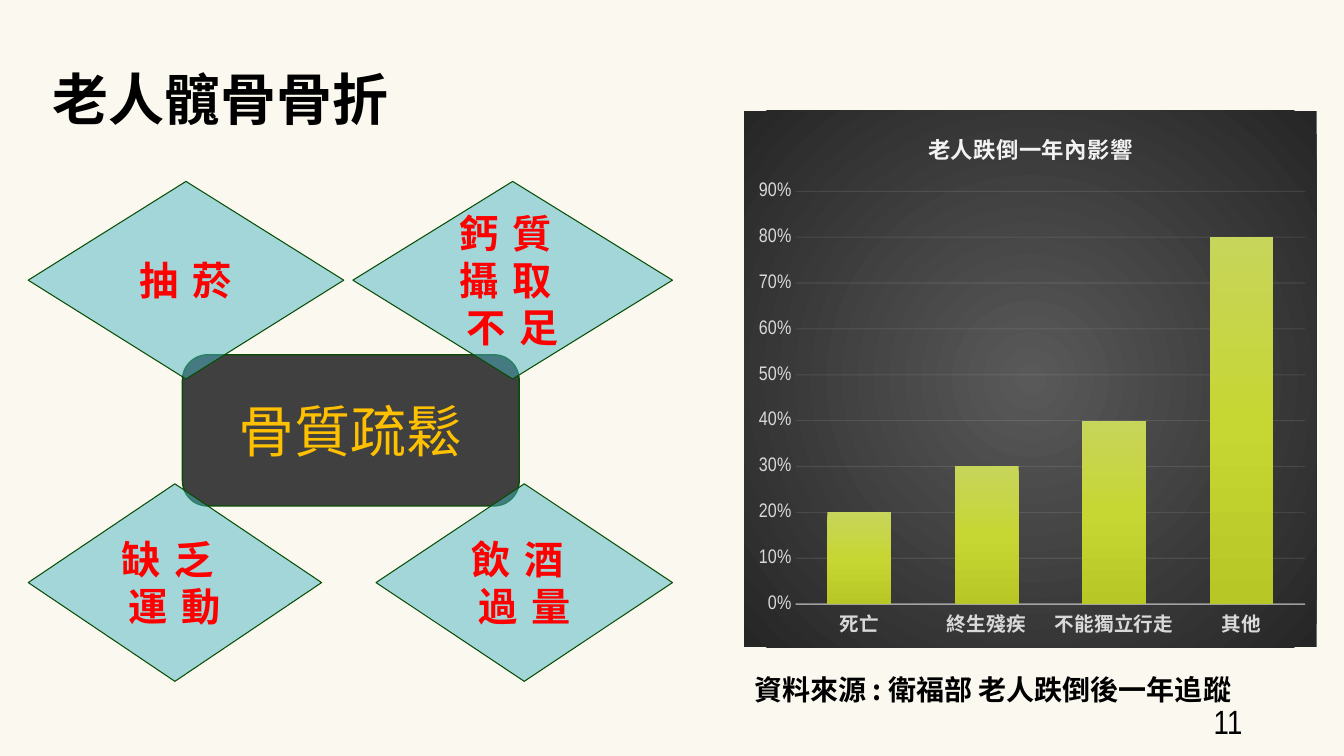
"""Build the slide on hip fractures in the elderly."""
from dataclasses import dataclass

from lxml import etree
from pptx import Presentation
from pptx.chart.data import CategoryChartData
from pptx.dml.color import RGBColor
from pptx.enum.chart import XL_CHART_TYPE, XL_TICK_MARK
from pptx.enum.shapes import MSO_SHAPE
from pptx.enum.text import MSO_ANCHOR, PP_ALIGN
from pptx.oxml.ns import qn
from pptx.util import Inches, Pt

COLUMN = XL_CHART_TYPE.COLUMN_CLUSTERED
NO_TICK = XL_TICK_MARK.NONE
DIAMOND = MSO_SHAPE.FLOWCHART_DECISION
ROUND = MSO_SHAPE.ROUNDED_RECTANGLE
TOP, MIDDLE = MSO_ANCHOR.TOP, MSO_ANCHOR.MIDDLE
LEFT, CENTER, RIGHT = PP_ALIGN.LEFT, PP_ALIGN.CENTER, PP_ALIGN.RIGHT

CREAM = RGBColor(0xFB, 0xF8, 0xEF)
BLACK = RGBColor(0, 0, 0)
RED = RGBColor(0xFF, 0, 0)
GOLD = RGBColor(0xFF, 0xC0, 0)
TEAL = RGBColor(0x4A, 0xB5, 0xC4)
GREEN = RGBColor(0x07, 0x4D, 0x03)
COAL = RGBColor(0x40, 0x40, 0x40)
PALE = RGBColor(0xF2, 0xF2, 0xF2)
SILVER = RGBColor(0xD9, 0xD9, 0xD9)
ASH = RGBColor(0x59, 0x59, 0x59)
SOOT = RGBColor(0x26, 0x26, 0x26)
LIMES = (RGBColor(0xC7, 0xD5, 0x5B), RGBColor(0xC6, 0xD6, 0x33),
         RGBColor(0xB7, 0xC7, 0x25))

HAN = "Noto Sans CJK SC"
LATIN = "Arial Narrow"


@dataclass
class Style:
    size: int
    color: RGBColor
    face: str = HAN
    bold: bool = True
    align: PP_ALIGN = LEFT
    space: float = 0


@dataclass
class Label:
    text: str
    box: tuple[float, float, float, float]
    style: Style
    anchor: MSO_ANCHOR = TOP


@dataclass
class Block:
    label: Label
    kind: MSO_SHAPE
    fill: RGBColor
    line: float
    alpha: int = 100


RISK = Style(28, RED, align=CENTER, space=10)
LABELS = [
    Label("老人髖骨骨折", (0.42, 0.59, 7.44, 0.77), Style(40, BLACK)),
    Label("資料來源 : 衛福部 老人跌倒後一年追蹤", (7.38, 6.62, 5.41, 0.5),
          Style(20, BLACK)),
    Label("11", (9.42, 6.95, 3, 0.4),
          Style(24, BLACK, LATIN, False, RIGHT), MIDDLE),
]
CORE = Block(Label("骨質疏鬆", (1.81, 3.52, 3.34, 1.5),
                   Style(40, GOLD, LATIN, False, CENTER), MIDDLE),
             ROUND, COAL, 1)
RISKS = [Block(Label(text, (left, top, width, 1.96), RISK, MIDDLE),
               DIAMOND, TEAL, 0.75, 50)
         for text, left, top, width in (
             ("鈣質攝取不足", 3.5, 1.8, 3.17), ("缺乏運動", 0.28, 4.8, 2.91),
             ("飲酒過量", 3.73, 4.8, 2.94), ("抽菸", 0.28, 1.8, 3.13))]
SHARES = {"死亡": 0.2, "終生殘疾": 0.3, "不能獨立行走": 0.4, "其他": 0.8}


def fade(root, alpha: int) -> None:
    for color in list(root.iter(qn("a:srgbClr"))):
        etree.SubElement(color, qn("a:alpha")).set("val", str(alpha * 1000))


def blend(root, colors: tuple, round_: bool = False) -> None:
    grad = etree.SubElement(root, qn("a:gradFill"))
    stops = etree.SubElement(grad, qn("a:gsLst"))
    for i, color in enumerate(colors):
        stop = etree.SubElement(stops, qn("a:gs"))
        stop.set("pos", str(100000 * i // (len(colors) - 1)))
        etree.SubElement(stop, qn("a:srgbClr")).set("val", str(color))
    if round_:
        way = etree.SubElement(grad, qn("a:path"))
        way.set("path", "circle")
        spot = etree.SubElement(way, qn("a:fillToRect"))
        for side in "ltrb":
            spot.set(side, "50000")
    else:
        etree.SubElement(grad, qn("a:lin")).set("ang", "5400000")


def paint(font, style: Style) -> None:
    font.size, font.bold, font.name = Pt(style.size), style.bold, style.face
    font.color.rgb = style.color


def write(frame, text: str, style: Style) -> None:
    para = frame.paragraphs[0]
    para.text, para.alignment = text, style.align
    paint(para.font, style)
    props = para._p.pPr.find(qn("a:defRPr"))
    etree.SubElement(props, qn("a:ea")).set("typeface", HAN)
    if style.space:
        props.set("spc", str(int(style.space * 100)))


def place(shape, label: Label) -> None:
    frame = shape.text_frame
    frame.word_wrap, frame.vertical_anchor = True, label.anchor
    write(frame, label.text, label.style)


def add_label(slide, label: Label) -> None:
    place(slide.shapes.add_textbox(*map(Inches, label.box)), label)


def add_block(slide, block: Block) -> None:
    shape = slide.shapes.add_shape(block.kind, *map(Inches, block.label.box))
    shape.shadow.inherit = False
    shape.fill.solid()
    shape.fill.fore_color.rgb = block.fill
    if block.alpha < 100:
        fade(shape._element.spPr, block.alpha)
    shape.line.color.rgb = GREEN
    shape.line.width = Pt(block.line)
    place(shape, block.label)


def add_layout(plot) -> None:
    layout = plot.find(qn("c:layout"))
    if layout is None:
        layout = etree.Element(qn("c:layout"))
        plot.insert(0, layout)
    manual = etree.SubElement(layout, qn("c:manualLayout"))
    for tag, val in (("layoutTarget", "inner"), ("xMode", "edge"),
                     ("yMode", "edge"), ("x", 0.09), ("y", 0.15),
                     ("w", 0.89), ("h", 0.77)):
        etree.SubElement(manual, qn(f"c:{tag}")).set("val", str(val))


def add_bars(slide) -> None:
    data = CategoryChartData(number_format="0%")
    data.categories = list(SHARES)
    data.add_series("Series 1", list(SHARES.values()))
    box = map(Inches, (7.38, 1.1, 5.68, 5.32))
    chart = slide.shapes.add_chart(COLUMN, *box, data).chart
    paint(chart.font, Style(10, BLACK, LATIN, False))
    chart.has_legend = False
    chart.has_title = True
    write(chart.chart_title.text_frame, "老人跌倒一年內影響",
          Style(16, PALE, align=CENTER, space=0.5))
    chart.chart_title.include_in_layout = False
    body = chart._chartSpace.find(qn("c:chart"))
    back = etree.Element(qn("c:spPr"))
    blend(back, (ASH, SOOT), True)
    body.addnext(back)
    add_layout(body.find(qn("c:plotArea")))

    plot = chart.plots[0]
    plot.gap_width, plot.overlap, plot.vary_by_categories = 100, -24, False
    blend(plot.series[0]._element.get_or_add_spPr(), LIMES)

    cat, val = chart.category_axis, chart.value_axis
    for axis, style in ((cat, Style(14, SILVER)),
                        (val, Style(14, SILVER, LATIN, False))):
        axis.major_tick_mark = axis.minor_tick_mark = NO_TICK
        paint(axis.tick_labels.font, style)
    cat.format.line.color.rgb = PALE
    cat.format.line.width = Pt(1)
    fade(cat._element.find(qn("c:spPr")), 54)
    val.minimum_scale, val.maximum_scale, val.major_unit = 0, 0.9, 0.1
    val.tick_labels.number_format = "0%"
    val.tick_labels.number_format_is_linked = False
    val.format.line.fill.background()
    grid = val.major_gridlines.format.line
    grid.color.rgb, grid.width = PALE, Pt(0.75)
    fade(val._element.find(qn("c:majorGridlines")), 10)


def main() -> None:
    deck = Presentation()
    deck.slide_width, deck.slide_height = Inches(13.33), Inches(7.5)
    slide = deck.slides.add_slide(deck.slide_layouts[6])
    slide.background.fill.solid()
    slide.background.fill.fore_color.rgb = CREAM
    add_bars(slide)
    for block in (CORE, *RISKS):
        add_block(slide, block)
    for label in LABELS:
        add_label(slide, label)
    deck.save("out.pptx")


if __name__ == "__main__":
    main()
